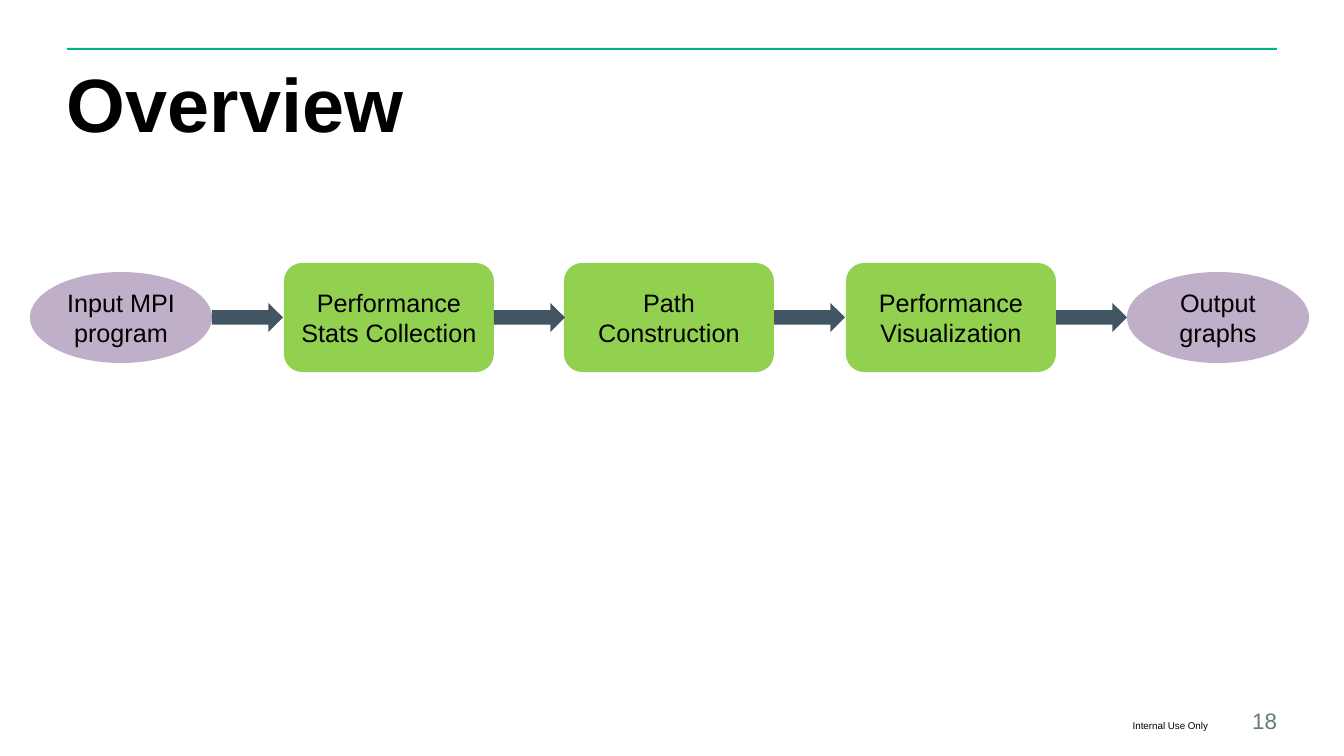
"""Build the Overview slide: a five-stage pipeline joined by arrows."""
from dataclasses import dataclass

from pptx import Presentation
from pptx import util as u
from pptx.dml.color import RGBColor
from pptx.enum import shapes, text

PIXEL = u.Inches(7.5) / 756
FONT = "Arial"
BLACK = RGBColor(0x00, 0x00, 0x00)
GREEN = RGBColor(0x00, 0xB3, 0x88)
LIME = RGBColor(0x92, 0xD0, 0x50)
LILAC = RGBColor(0xBF, 0xAF, 0xC8)
SLATE = RGBColor(0x42, 0x55, 0x63)
SAGE = RGBColor(0x61, 0x7D, 0x78)
FLOW_MIDDLE = 317
ARROW_WIDTH, ARROW_HEIGHT = 71, 29


@dataclass(frozen=True)
class StageStyle:
    """Look and size shared by stages of one kind."""
    kind: shapes.MSO_SHAPE
    width: int
    height: int
    color: RGBColor


@dataclass(frozen=True)
class Stage:
    """One step of the pipeline."""
    label: str
    left: int
    style: StageStyle


@dataclass(frozen=True)
class FooterText:
    """One right-aligned text at the foot of the slide."""
    label: str
    left: int
    top: int
    width: int
    height: int
    size: int
    color: RGBColor


ENDPOINT = StageStyle(shapes.MSO_SHAPE.OVAL, 182, 91, LILAC)
PROCESS = StageStyle(shapes.MSO_SHAPE.ROUNDED_RECTANGLE, 210, 109, LIME)
STAGES = (
    Stage("Input MPI program", 30, ENDPOINT),
    Stage("Performance Stats Collection", 284, PROCESS),
    Stage("Path Construction", 564, PROCESS),
    Stage("Performance Visualization", 846, PROCESS),
    Stage("Output graphs", 1127, ENDPOINT),
)
FOOTER = (
    FooterText("Internal Use Only", 1085, 708, 123, 23, 7, BLACK),
    FooterText("18", 1218, 709, 59, 25, 16, SAGE),
)


def px(length: int) -> u.Emu:
    """Convert pixels to EMU."""
    return u.Emu(round(length * PIXEL))


def write(frame, label: str, size: int, color: RGBColor, align, bold: bool = False):
    """Write one formatted paragraph and return it."""
    frame.text = label
    para = frame.paragraphs[0]
    para.alignment = align
    for span in para.runs:
        span.font.name = FONT
        span.font.size = u.Pt(size)
        span.font.bold = bold
        span.font.color.rgb = color
    return para


def clear_insets(frame) -> None:
    """Remove the inner margins of a text frame."""
    frame.margin_left = frame.margin_right = frame.margin_top = frame.margin_bottom = 0


def add_block(page, kind, left: int, top: int, width: int, height: int, color: RGBColor):
    """Add a flat filled shape without outline or shadow."""
    block = page.shapes.add_shape(kind, px(left), px(top), px(width), px(height))
    block.fill.solid()
    block.fill.fore_color.rgb = color
    block.line.fill.background()
    block.shadow.inherit = False
    return block


def add_title(page, label: str) -> None:
    """Place and format the title placeholder."""
    title = page.shapes.title
    title.left, title.top, title.width, title.height = map(px, (67, 67, 907, 84))
    frame = title.text_frame
    clear_insets(frame)
    frame.auto_size = text.MSO_AUTO_SIZE.NONE
    frame.vertical_anchor = text.MSO_ANCHOR.TOP
    para = write(frame, label, 54, BLACK, text.PP_ALIGN.LEFT, bold=True)
    para.line_spacing = 0.9


def add_stage(page, stage: Stage) -> None:
    """Add a pipeline stage centred on the flow line."""
    style = stage.style
    top = FLOW_MIDDLE - style.height // 2
    block = add_block(page, style.kind, stage.left, top, style.width, style.height, style.color)
    block.text_frame.vertical_anchor = text.MSO_ANCHOR.MIDDLE
    para = write(block.text_frame, stage.label, 18, BLACK, text.PP_ALIGN.CENTER)
    para.space_before = u.Pt(9)


def add_arrow_after(page, stage: Stage) -> None:
    """Add the block arrow that leaves a stage on its right."""
    add_block(page, shapes.MSO_SHAPE.RIGHT_ARROW, stage.left + stage.style.width,
              FLOW_MIDDLE - ARROW_HEIGHT // 2, ARROW_WIDTH, ARROW_HEIGHT, SLATE)


def add_footer_text(page, item: FooterText) -> None:
    """Add a bottom-anchored footer text."""
    box = page.shapes.add_textbox(px(item.left), px(item.top), px(item.width), px(item.height))
    frame = box.text_frame
    clear_insets(frame)
    frame.word_wrap = False
    frame.vertical_anchor = text.MSO_ANCHOR.BOTTOM
    write(frame, item.label, item.size, item.color, text.PP_ALIGN.RIGHT)


def main() -> None:
    """Build and save the deck."""
    deck = Presentation()
    deck.slide_width, deck.slide_height = px(1344), px(756)
    page = deck.slides.add_slide(deck.slide_layouts.get_by_name("Title Only"))
    add_block(page, shapes.MSO_SHAPE.RECTANGLE, 67, 48, 1210, 2, GREEN)
    add_title(page, "Overview")
    for item in FOOTER:
        add_footer_text(page, item)
    for stage in STAGES:
        add_stage(page, stage)
    for stage in STAGES[:-1]:
        add_arrow_after(page, stage)
    deck.save("out.pptx")


main()
